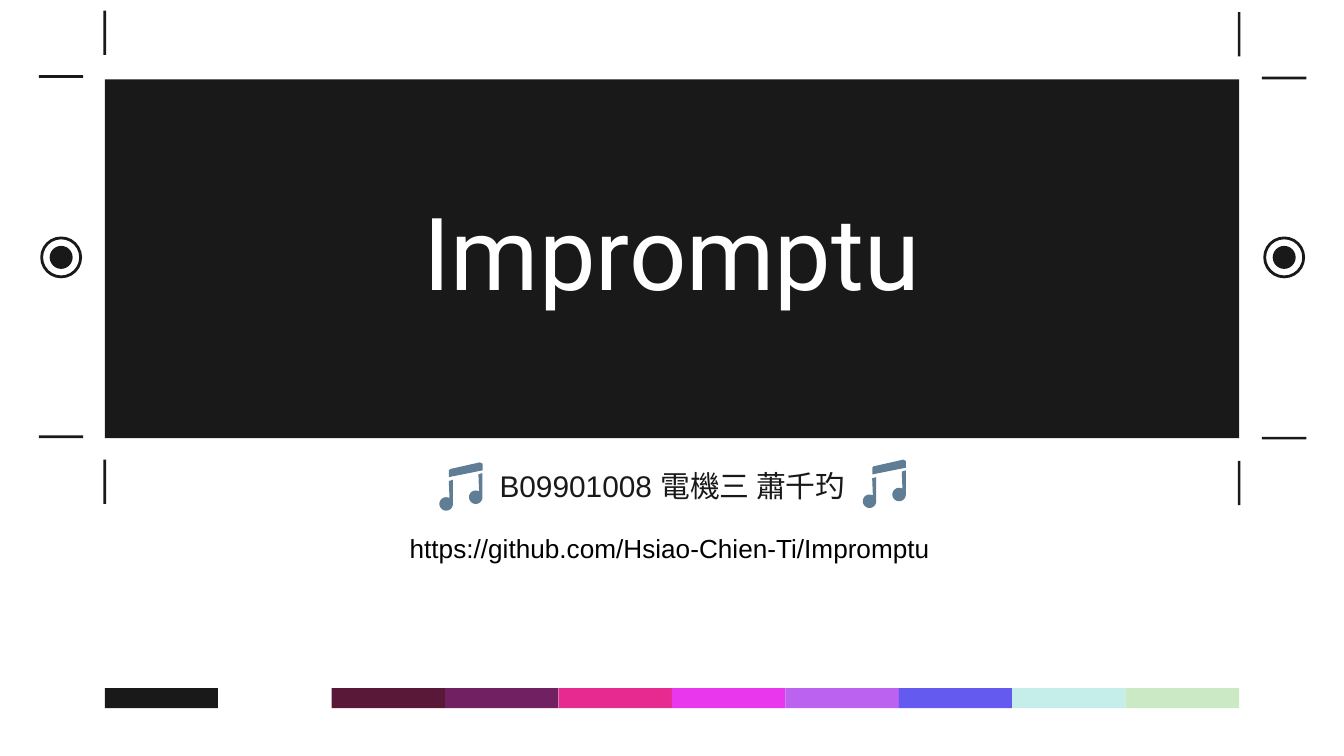
from math import cos, radians, sin
from pptx import Presentation
from pptx.dml.color import RGBColor
from pptx.enum.shapes import MSO_SHAPE
from pptx.enum.text import MSO_ANCHOR, PP_ALIGN
from pptx.util import Inches, Pt

RECT, OVAL = MSO_SHAPE.RECTANGLE, MSO_SHAPE.OVAL
MIDDLE = MSO_ANCHOR.MIDDLE
LEFT, CENTER = PP_ALIGN.LEFT, PP_ALIGN.CENTER

HUES = {"ink": "191919", "paper": "FFFFFF", "note": "5F7D95", "link": "000000"}
SWATCHES = {
    "ink": "191919", "white": "FFFFFF", "wine": "591837", "plum": "712161",
    "pink": "E72A90", "neon": "E937EE", "lilac": "BB62F1", "blue": "655AEF",
    "ice": "C5EDE9", "mint": "CBE9C5",
}
TITLE = {"size": Pt(54), "name": "Roboto", "color": HUES["paper"]}
AUTHOR = {"size": Pt(16), "name": "Arial", "color": HUES["ink"]}
LINK = {"size": Pt(14), "name": "Arial", "color": HUES["link"]}


def paint(shape, fill=None, line=None):
    shape.shadow.inherit = False
    if fill:
        shape.fill.solid()
        shape.fill.fore_color.rgb = RGBColor.from_string(fill)
    else:
        shape.fill.background()
    if line:
        shape.line.color.rgb = RGBColor.from_string(line)
        shape.line.width = Pt(1.5)
    else:
        shape.line.fill.background()


def add_form(slide, kind, box, fill=None, line=None):
    paint(slide.shapes.add_shape(kind, *map(Inches, box)), fill, line)


def add_text(slide, box, text, style, align=CENTER, wrap=True, space=1.0):
    frame = slide.shapes.add_textbox(*map(Inches, box)).text_frame
    layout = {"word_wrap": wrap, "vertical_anchor": MIDDLE}
    for side in ("left", "top", "right", "bottom"):
        layout["margin_" + side] = Inches(0.1)
    for key, value in layout.items():
        setattr(frame, key, value)
    para = frame.paragraphs[0]
    para.alignment, para.line_spacing = align, space
    run = para.add_run()
    run.text = text
    for key, value in style.items():
        if key == "color":
            run.font.color.rgb = RGBColor.from_string(value)
        else:
            setattr(run.font, key, value)


def add_path(slide, points, fill):
    (x, y), *rest = [(Inches(x), Inches(y)) for x, y in points]
    pen = slide.shapes.build_freeform(x, y)
    pen.add_line_segments(rest, close=True)
    paint(pen.convert_to_shape(), fill)


def add_swatches(slide, box):
    x, y, w, h = box
    step = w / len(SWATCHES)
    for i, hue in enumerate(SWATCHES.values()):
        add_form(slide, RECT, (x + i * step, y, step, h), hue)


def add_panel(slide, box):
    x, y, w, h = box
    add_form(slide, RECT, box, HUES["ink"])
    add_text(slide, (x + 0.18, y + 0.29, w - 0.36, h - 0.6),
             "Impromptu", TITLE, space=0.9)


def add_crops(slide, box):
    x, y, w, h = box
    size, thick = 0.33, 0.02
    sides = ((x - 0.49, x - 0.01, 0), (x + w + 0.17, x + w - 0.01, 0.01))
    for flat, tall, drop in sides:
        for top in (y - 0.03, y + h - 0.02):
            add_form(slide, RECT, (flat, top + drop, size, thick), HUES["ink"])
        for top in (y - 0.51, y + h + 0.16):
            add_form(slide, RECT, (tall, top + drop, thick, size), HUES["ink"])


def add_target(slide, box):
    x, y, size = box
    dot = 0.15
    gap = (size - dot) / 2
    add_form(slide, OVAL, box + (size,), line=HUES["ink"])
    add_form(slide, OVAL, (x + gap, y + gap, dot, dot), HUES["ink"], HUES["ink"])


def add_note(slide, box):
    x, y = box
    beam = [(0.08, 0.06), (0.09, 0.05), (0.31, 0), (0.33, 0.01),
            (0.33, 0.06), (0.08, 0.11)]
    add_path(slide, [(x + a, y + b) for a, b in beam], HUES["note"])
    for left, top in ((0.22, 0.08), (0, 0.13)):
        stem = [(0.11, 0), (0.08, 0.01)]
        head = [(0.06 + 0.05 * cos(radians(a)), 0.18 + 0.05 * sin(radians(a)))
                for a in range(-60, -361, -10)]
        points = [(x + left + a, y + top + b) for a, b in stem + head]
        add_path(slide, points, HUES["note"])


def add_byline(slide, box):
    x, y, w, h = box
    add_text(slide, box, "B09901008 電機三 蕭千玓", AUTHOR)
    add_note(slide, (x + 0.64, y + 0.05))
    add_note(slide, (x + 3.79, y + 0.03))
    add_text(slide, (x + 0.33, y + 0.52, 4.1, 0.34),
             "https://github.com/Hsiao-Chien-Ti/Impromptu", LINK, LEFT, False)


def main():
    deck = Presentation()
    deck.slide_width = Inches(10)
    deck.slide_height = deck.slide_width * 9 // 16
    slide = deck.slides.add_slide(deck.slide_layouts[6])
    panel = (0.78, 0.59, 8.44, 2.67)
    add_swatches(slide, (0.78, 5.12, 8.44, 0.15))
    add_panel(slide, panel)
    add_crops(slide, panel)
    for x in (0.31, 9.41):
        add_target(slide, (x, 1.77, 0.29))
    add_byline(slide, (2.62, 3.39, 4.77, 0.45))
    deck.save("out.pptx")


if __name__ == "__main__":
    main()
